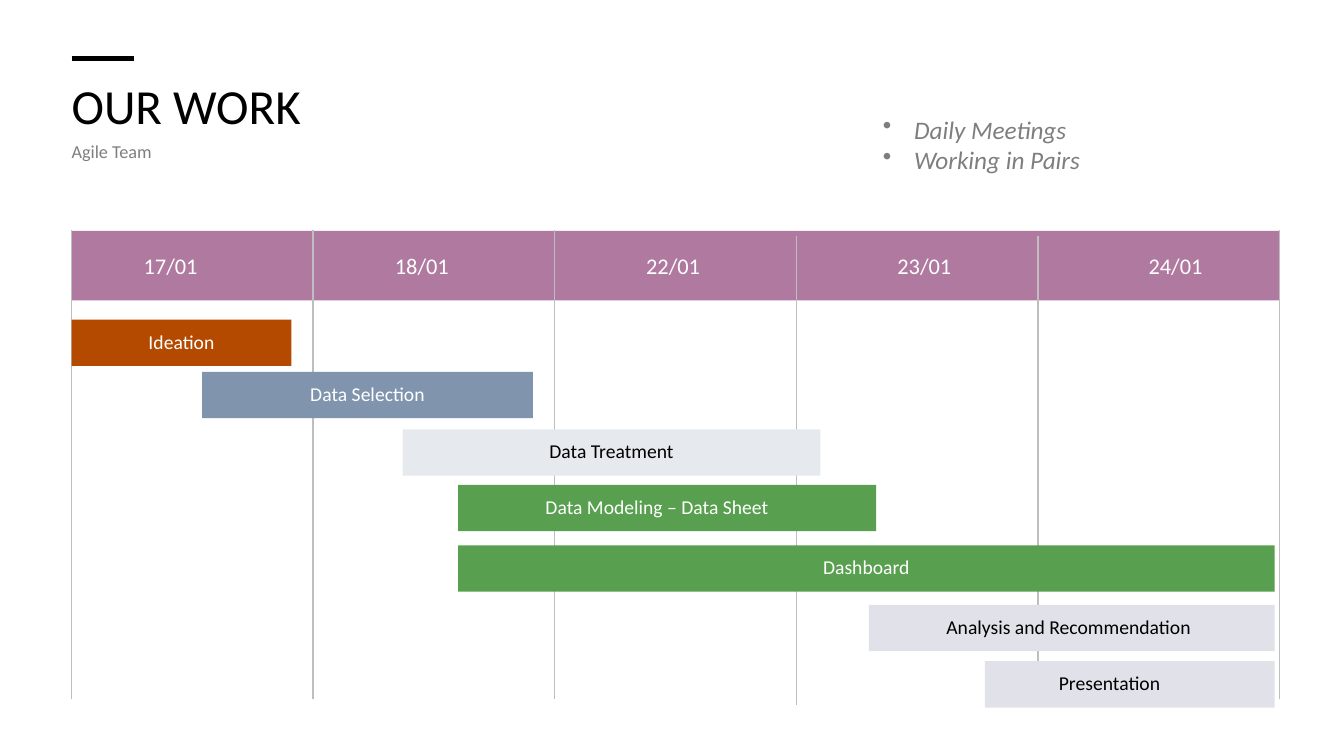
from lxml import etree
from pptx import Presentation
from pptx.dml.color import RGBColor
from pptx.enum.shapes import MSO_CONNECTOR, MSO_SHAPE
from pptx.enum.text import MSO_ANCHOR, PP_ALIGN
from pptx.oxml.ns import qn
from pptx.util import Inches, Pt

RECTANGLE = MSO_SHAPE.RECTANGLE
STRAIGHT = MSO_CONNECTOR.STRAIGHT
MIDDLE = MSO_ANCHOR.MIDDLE
LEFT, CENTER = PP_ALIGN.LEFT, PP_ALIGN.CENTER

BLACK = RGBColor(0x00, 0x00, 0x00)
WHITE = RGBColor(0xFF, 0xFF, 0xFF)
TEXT_GRAY = RGBColor(0x7E, 0x7E, 0x7E)
LINE_GRAY = RGBColor(0xBE, 0xBE, 0xBE)
MAUVE = RGBColor(0xAF, 0x79, 0xA0)
RUST = RGBColor(0xB3, 0x4A, 0x00)
STEEL = RGBColor(0x80, 0x94, 0xAE)
MIST = RGBColor(0xE6, 0xEA, 0xEE)
GREEN = RGBColor(0x58, 0xA0, 0x4F)
LILAC = RGBColor(0xE1, 0xE1, 0xE9)

DAYS = ["17/01", "18/01", "22/01", "23/01", "24/01"]
DAY_LINES = [(4.56, 13.86)] * 3 + [(4.68, 13.98)] * 2 + [(4.56, 13.86)]
TASKS = [
    ("Ideation", 0, 6.34, 0.91, RUST, WHITE, 0),
    ("Data Selection", 0.54, 7.38, 1.37, STEEL, WHITE, 0),
    ("Data Treatment", 1.37, 8.52, 1.73, MIST, BLACK, 0),
    ("Data Modeling – Data Sheet", 1.6, 9.62, 1.73, GREEN, WHITE, 0.2),
    ("Dashboard", 1.6, 10.82, 3.38, GREEN, WHITE, 0),
    ("Analysis and Recommendation", 3.3, 12, 1.68, LILAC, BLACK, 0.06),
    ("Presentation", 3.78, 13.12, 1.2, LILAC, BLACK, 0.4),
]


class GridSlide:
    """Draws text, bars and lines on a slide, placed by day columns and half-inch rows."""

    font_name = "Calibri"
    left_edge = 0.71
    column_width = 11.98 / len(DAYS)
    row_height = 0.5

    def __init__(self, presentation):
        self.slide = presentation.slides.add_slide(presentation.slide_layouts[6])

    def point(self, column, row):
        return (Inches(self.left_edge + column * self.column_width),
                Inches(row * self.row_height))

    def box(self, column, row, columns, rows):
        return (*self.point(column, row),
                Inches(columns * self.column_width), Inches(rows * self.row_height))

    def style(self, paragraph, size, color, italic=False):
        font = paragraph.font
        font.name, font.size, font.italic = self.font_name, Pt(size), italic
        font.color.rgb = color

    def text(self, column, row, columns, rows, lines, align=LEFT, bullet=False, gap=0):
        shape = self.slide.shapes.add_textbox(*self.box(column, row, columns, rows))
        frame = shape.text_frame
        frame.word_wrap = True
        frame.margin_left = frame.margin_right = 0
        frame.margin_top = frame.margin_bottom = 0
        for index, (content, size, color) in enumerate(lines):
            paragraph = frame.add_paragraph() if index else frame.paragraphs[0]
            paragraph.text = content
            paragraph.alignment = align
            if index:
                paragraph.space_before = Pt(gap)
            if bullet:
                properties = paragraph._p.get_or_add_pPr()
                properties.set("marL", str(Inches(0.33)))
                properties.set("indent", str(Inches(-0.31)))
                etree.SubElement(properties, qn("a:buChar")).set("char", "•")
            self.style(paragraph, size, color, italic=bullet)

    def bar(self, column, row, columns, rows, fill, label="", color=WHITE, inset=0):
        shape = self.slide.shapes.add_shape(
            RECTANGLE, *self.box(column, row, columns, rows))
        shape.shadow.inherit = False
        shape.fill.solid()
        shape.fill.fore_color.rgb = fill
        shape.line.fill.background()
        if label:
            frame = shape.text_frame
            frame.margin_left = frame.margin_top = 0
            frame.margin_right, frame.margin_bottom = Inches(inset), Inches(0.03)
            frame.vertical_anchor = MIDDLE
            paragraph = frame.paragraphs[0]
            paragraph.text = label
            paragraph.alignment = CENTER
            self.style(paragraph, 14, color)

    def line(self, start, end, color, width):
        connector = self.slide.shapes.add_connector(
            STRAIGHT, *self.point(*start), *self.point(*end))
        connector.line.color.rgb = color
        connector.line.width = Pt(width)
        etree.SubElement(connector._element.spPr, qn("a:effectLst"))


def main():
    presentation = Presentation()
    presentation.slide_width = Inches(13.33)
    presentation.slide_height = Inches(7.5)
    schedule = GridSlide(presentation)

    schedule.line((0, 1.16), (0.26, 1.16), BLACK, 3)
    schedule.text(0, 1.5, 1.8, 1.74,
                  [("OUR WORK", 35, BLACK), ("Agile Team", 13, TEXT_GRAY)], gap=3.9)
    schedule.text(3.35, 2.26, 0.9, 1.24,
                  [("Daily Meetings", 18, TEXT_GRAY),
                   ("Working in Pairs", 18, TEXT_GRAY)], bullet=True)

    schedule.bar(0, 4.58, len(DAYS), 1.38, MAUVE)
    for index, day in enumerate(DAYS):
        schedule.text(0.29 + 1.04 * index, 5, 0.24, 0.56, [(day, 16, WHITE)], CENTER)
    for column, (top, bottom) in enumerate(DAY_LINES):
        schedule.line((column, top), (column, bottom), LINE_GRAY, 1)
    for label, column, row, columns, fill, color, inset in TASKS:
        schedule.bar(column, row, columns, 0.92, fill, label, color, inset)

    presentation.save("out.pptx")


if __name__ == "__main__":
    main()
